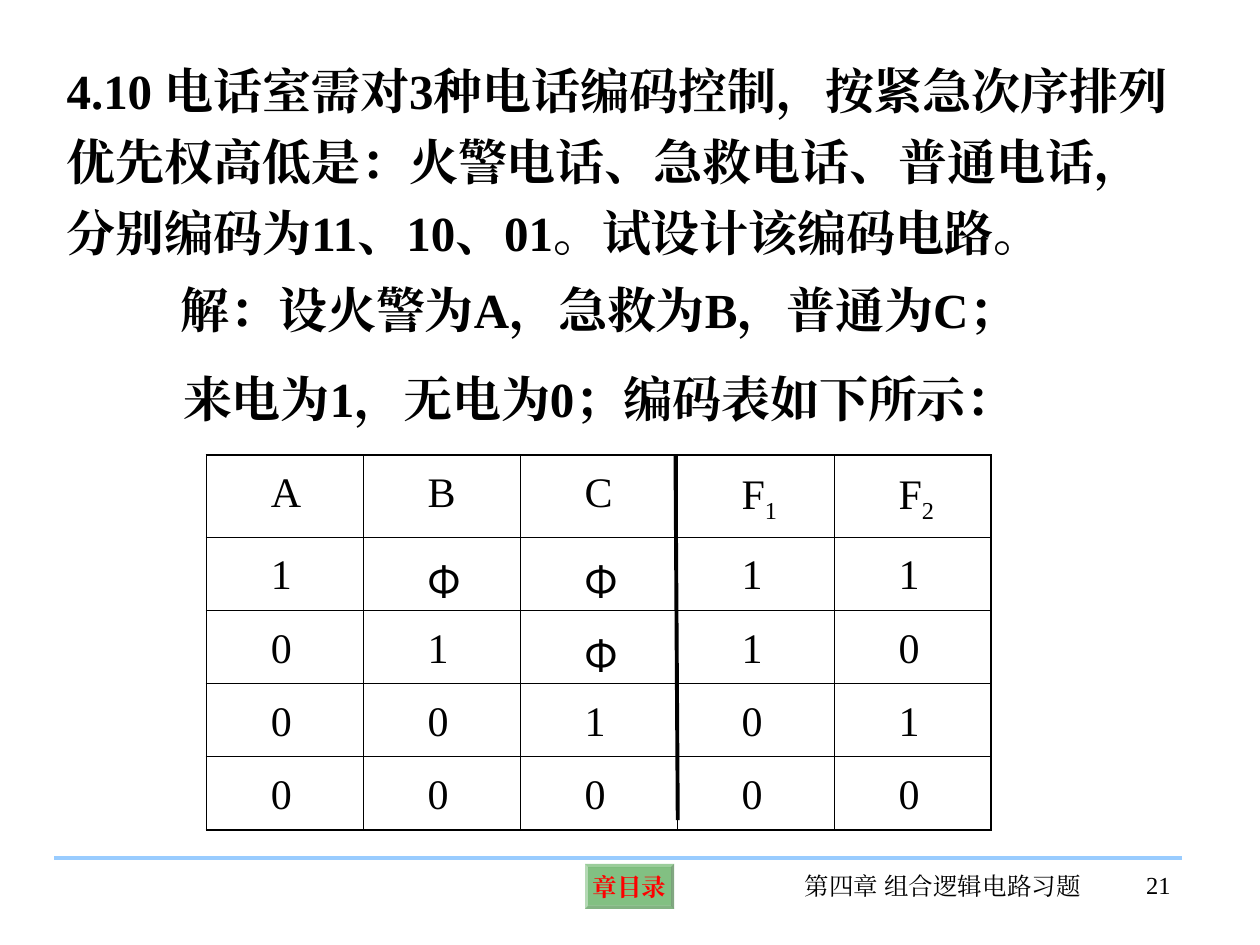
from lxml import etree
from pptx import Presentation
from pptx import util as u
from pptx.dml.color import RGBColor
from pptx.enum import shapes, text
from pptx.oxml.ns import qn

Pt = u.Pt
COLORS = {"ink": "000000", "rule": "99CCFF", "button": "008000", "label": "FF0000"}
SERIF, SANS = "Times New Roman", "Noto Sans CJK SC"
LEFT, CENTER, RIGHT = text.PP_ALIGN.LEFT, text.PP_ALIGN.CENTER, text.PP_ALIGN.RIGHT

QUESTION = ["4.10 电话室需对3种电话编码控制，按紧急次序排列优先权高低是：火警电话、急救电话、普通电话，分别编码为11、10、01。试设计该编码电路。"]
SOLUTION = ["解：设火警为A，急救为B，普通为C；", "来电为1，无电为0；编码表如下所示："]
CODES = [
    ["A", "B", "C", "F1", "F2"],
    ["1", "Φ", "Φ", "1", "1"],
    ["0", "1", "Φ", "1", "0"],
    ["0", "0", "1", "0", "1"],
    ["0", "0", "0", "0", "0"],
]
BOXES = [
    (QUESTION, (31, 24.5, 651, 134), 28, True, LEFT, 1.2),
    (SOLUTION, (28, 156.2, 628.5, 92), 28, True, CENTER, None),
    (["第四章 组合逻辑电路习题"], (443, 494, 191.5, 36), 14, False, CENTER, None),
    (["21"], (614, 493.5, 62, 36), 14, False, RIGHT, None),
]
LINES = [((31, 490.3), (675.5, 490.3), "rule"), ((386, 260), (387.3, 468.7), "ink")]
TABLE_LEFT, TABLE_TOP, COL_WIDTH = 118, 260, 89.7
HEADER_HEIGHT, ROW_HEIGHT = 46.8, 41.9
OUTER, INNER = 1.08, 0.45


def rgb(name):
    return RGBColor.from_string(COLORS[name])


def style(p, size, bold=False, color="ink", face=SERIF):
    p.font.size, p.font.bold, p.font.name = Pt(size), bold, face
    p.font.color.rgb = rgb(color)
    etree.SubElement(p._p.pPr.find(qn("a:defRPr")), qn("a:ea"), typeface=face)


def add_text(s, paragraphs, box, size, bold, align, spacing):
    tf = s.shapes.add_textbox(*map(Pt, box)).text_frame
    tf.word_wrap = True
    for i, words in enumerate(paragraphs):
        p = tf.add_paragraph() if i else tf.paragraphs[0]
        p.add_run().text = words
        p.alignment = align
        if spacing:
            p.line_spacing = spacing
        if i:
            p.space_before = Pt(17.5)
        style(p, size, bold)


def add_line(s, start, end, color):
    line = s.shapes.add_connector(shapes.MSO_CONNECTOR.STRAIGHT, *map(Pt, start + end))
    line.line.color.rgb, line.line.width = rgb(color), Pt(2.25)
    etree.SubElement(line._element.spPr, qn("a:effectLst"))


def add_button(s):
    sp = s.shapes.add_shape(shapes.MSO_SHAPE.BEVEL, Pt(334.3), Pt(493.7), Pt(51), Pt(25.6))
    sp.adjustments[0] = 0.07
    sp.shadow.inherit = False
    sp.fill.solid()
    sp.fill.fore_color.rgb = rgb("button")
    tint = sp._element.spPr.find(qn("a:solidFill"))[0]
    etree.SubElement(tint, qn("a:alpha"), val="49000")
    sp.line.fill.background()
    tf = sp.text_frame
    tf.word_wrap = False
    tf.vertical_anchor = text.MSO_ANCHOR.MIDDLE
    tf.margin_left = tf.margin_right = tf.margin_top = tf.margin_bottom = Pt(2.9)
    p = tf.paragraphs[0]
    p.add_run().text = "章目录"
    p.alignment = CENTER
    style(p, 14, True, "label")


def set_borders(cell, widths):
    tcPr = cell._tc.get_or_add_tcPr()
    for i, (side, width) in enumerate(widths.items()):
        ln = etree.Element(qn("a:ln" + side), w=str(int(Pt(width))))
        fill = etree.SubElement(ln, qn("a:solidFill"))
        etree.SubElement(fill, qn("a:srgbClr"), val=COLORS["ink"])
        tcPr.insert(i, ln)


def fill_cell(cell, value):
    p = cell.text_frame.paragraphs[0]
    p.add_run().text = value[0]
    if len(value) > 1:
        r = p.add_run()
        r.text = value[1]
        r._r.get_or_add_rPr().set("baseline", "-25000")
    p._p.get_or_add_pPr().set("marL", str(int(Pt(29.5))))
    if value == "Φ":
        cell.margin_top, cell.margin_bottom = Pt(7), 0
        style(p, 24, face=SANS)
    else:
        p.line_spacing = 1.2
        style(p, 24)


def add_code_table(s):
    rows, cols = len(CODES), len(CODES[0])
    heights = [HEADER_HEIGHT] + [ROW_HEIGHT] * (rows - 1)
    frame = s.shapes.add_table(rows, cols, Pt(TABLE_LEFT), Pt(TABLE_TOP),
                               Pt(COL_WIDTH * cols), Pt(sum(heights)))
    table = frame.table
    table.first_row = table.horz_banding = False
    for col in table.columns:
        col.width = Pt(COL_WIDTH)
    for i, row in enumerate(CODES):
        table.rows[i].height = Pt(heights[i])
        for j, value in enumerate(row):
            cell = table.cell(i, j)
            cell.fill.background()
            fill_cell(cell, value)
            edges = {"L": j == 0, "R": j == cols - 1, "T": i == 0, "B": i == rows - 1}
            set_borders(cell, {k: OUTER if edge else INNER for k, edge in edges.items()})


def main():
    prs = Presentation()
    prs.slide_width, prs.slide_height = Pt(720), Pt(540)
    s = prs.slides.add_slide(prs.slide_layouts[6])
    add_button(s)
    for box in BOXES:
        add_text(s, *box)
    add_code_table(s)
    for line in LINES:
        add_line(s, *line)
    prs.save("out.pptx")


if __name__ == "__main__":
    main()
